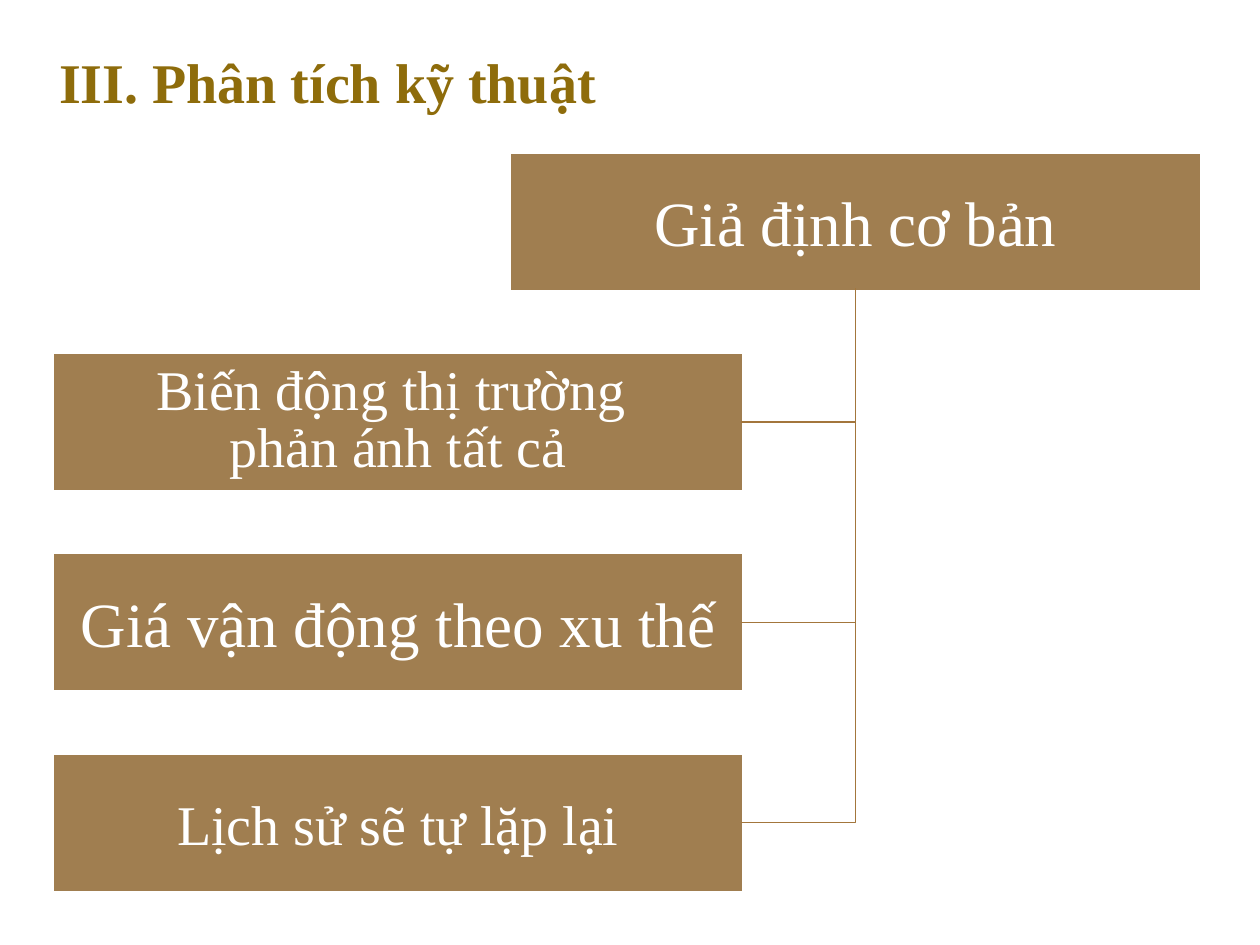
from lxml import etree
from pptx import Presentation
from pptx.dml.color import RGBColor
from pptx.enum import shapes, text
from pptx.oxml.ns import qn
from pptx.util import Inches, Pt

BROWN = RGBColor(0xA0, 0x7E, 0x50)
LINE_BROWN = RGBColor(0xA3, 0x76, 0x3C)
GOLD = RGBColor(0x8E, 0x6C, 0x0B)
WHITE = RGBColor(0xFF, 0xFF, 0xFF)
FONT = "Times New Roman"
BOX_WIDTH, BOX_HEIGHT = 5.44, 1.06
ROOT_LEFT, CHILD_LEFT = 4.07, 0.44
TOP, STEP = 1.23, 1.59


def write(shape, words, size, color, bold=False, spacing=None):
    frame = shape.text_frame
    frame.word_wrap = True
    frame.vertical_anchor = text.MSO_ANCHOR.MIDDLE
    frame.text = words
    para = frame.paragraphs[0]
    para.line_spacing = spacing
    for span in para.runs:
        span.font.name = FONT
        span.font.size = Pt(size)
        span.font.bold = bold
        span.font.color.rgb = color


def add_box(left, top, words, size, spacing=None):
    box = page.shapes.add_shape(shapes.MSO_SHAPE.RECTANGLE, Inches(left), Inches(top),
                                Inches(BOX_WIDTH), Inches(BOX_HEIGHT))
    box.shadow.inherit = False
    box.fill.solid()
    box.fill.fore_color.rgb = BROWN
    box.line.color.rgb = BROWN
    box.line.width = Pt(1.5)
    # Square corners on the outline
    outline = box.element.spPr.find(qn("a:ln"))
    etree.SubElement(outline, qn("a:miter")).set("lim", "800000")
    write(box, words, size, WHITE, spacing=spacing)
    box.text_frame.paragraphs[0].alignment = text.PP_ALIGN.CENTER
    return box


deck = Presentation()
deck.slide_width, deck.slide_height = Inches(10), Inches(7.5)
page = deck.slides.add_slide(deck.slide_layouts[6])

# Title
title = page.shapes.add_textbox(Inches(0.37), Inches(0.31), Inches(9.18), Inches(0.74))
write(title, "III. Phân tích kỹ thuật", 32, GOLD, bold=True, spacing=0.9)

# Root box
root = add_box(ROOT_LEFT, TOP, "Giả định cơ bản", 36)

# Assumptions, each joined to the root by an elbow with one bend;
# the two-line text is set tighter so that it stays inside its box
assumptions = [
    ("Biến động thị trường \vphản ánh tất cả", 32, 0.85),
    ("Giá vận động theo xu thế", 36, None),
    ("Lịch sử sẽ tự lặp lại", 32, None),
]
for row, (words, size, spacing) in enumerate(assumptions, start=1):
    top = TOP + row * STEP
    child = add_box(CHILD_LEFT, top, words, size, spacing)
    elbow = page.shapes.add_connector(
        shapes.MSO_CONNECTOR.ELBOW,
        Inches(CHILD_LEFT + BOX_WIDTH), Inches(top + BOX_HEIGHT / 2),
        Inches(ROOT_LEFT + BOX_WIDTH / 2), Inches(TOP + BOX_HEIGHT))
    elbow.begin_connect(child, 3)
    elbow.end_connect(root, 2)
    elbow.line.color.rgb = LINE_BROWN
    elbow.line.width = Pt(0.75)
    properties = elbow.element.spPr
    properties.find(qn("a:prstGeom")).set("prst", "bentConnector2")
    etree.SubElement(properties, qn("a:effectLst"))

deck.save("out.pptx")
